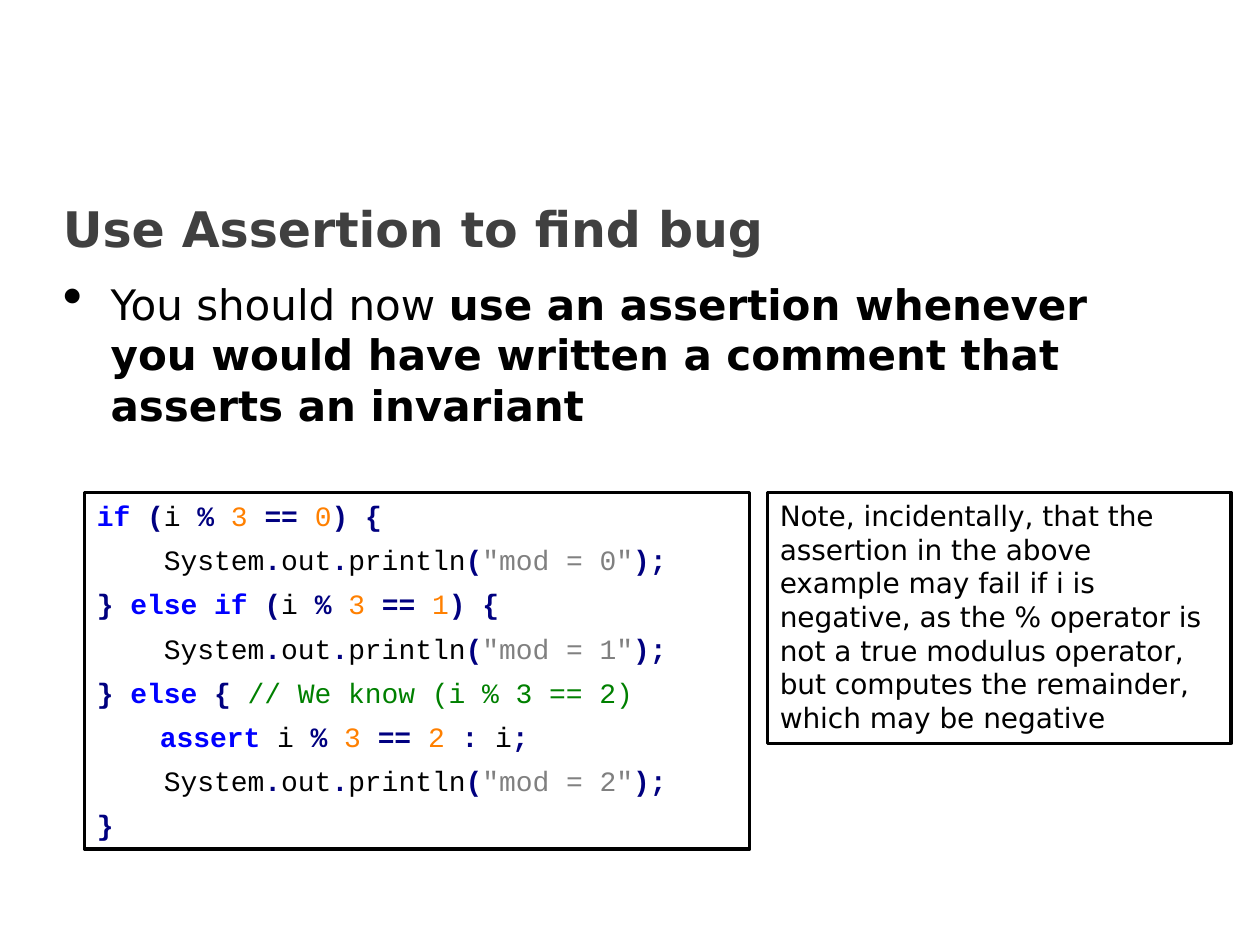
from itertools import groupby

from lxml import etree
from pptx import Presentation
from pptx.dml.color import RGBColor
from pptx.enum.shapes import MSO_SHAPE
from pptx.enum.text import MSO_ANCHOR, PP_ALIGN
from pptx.oxml.ns import qn
from pptx.util import Inches, Pt

BLACK = RGBColor(0x00, 0x00, 0x00)
WHITE = RGBColor(0xFF, 0xFF, 0xFF)
TITLE_GREY = RGBColor(0x40, 0x40, 0x40)
KEYWORD_BLUE = RGBColor(0x00, 0x00, 0xFF)
OPERATOR_NAVY = RGBColor(0x00, 0x00, 0x80)
NUMBER_ORANGE = RGBColor(0xFF, 0x80, 0x00)
STRING_GREY = RGBColor(0x80, 0x80, 0x80)
COMMENT_GREEN = RGBColor(0x00, 0x80, 0x00)

TEXT_FONT, CODE_FONT = "DejaVu Sans", "Courier New"
KEYWORDS = {"if", "else", "assert"}

TITLE = "Use Assertion to find bug"
ADVICE = [
    ("You should now ", BLACK, False),
    ("use an assertion whenever you would have written a comment "
     "that asserts an invariant", BLACK, True),
]
CODE = """\
if (i % 3 == 0) {
    System.out.println("mod = 0");
} else if (i % 3 == 1) {
    System.out.println("mod = 1");
} else { // We know (i % 3 == 2)
\tassert i % 3 == 2 : i;
    System.out.println("mod = 2");
}"""
NOTE = ("Note, incidentally, that the assertion in the above example may fail "
        "if i is negative, as the % operator is not a true modulus operator, "
        "but computes the remainder, which may be negative")

# left, top, width, height
TITLE_AREA = (0.4, 1.46, 9.11, 0.7)
ADVICE_AREA = (0.4, 2.16, 9.11, 1.4)
CODE_AREA = (0.67, 3.91, 5.28, 2.83)
NOTE_AREA = (6.09, 3.91, 3.68, 1.99)


def character_class(char):
    if char.isspace():
        return "space"
    if char.isdigit():
        return "number"
    return "word" if char.isalpha() else "operator"


def highlight(line):
    """Split a line of code into (text, colour, bold) pieces."""
    statement, slashes, remark = line.partition("//")
    pieces = []
    for index, part in enumerate(statement.split('"')):
        if index % 2:
            pieces.append((f'"{part}"', STRING_GREY, False))
            continue
        for kind, chars in groupby(part, character_class):
            token = "".join(chars)
            if token in KEYWORDS:
                pieces.append((token, KEYWORD_BLUE, True))
            elif kind == "operator":
                pieces.append((token, OPERATOR_NAVY, True))
            else:
                colour = NUMBER_ORANGE if kind == "number" else BLACK
                pieces.append((token, colour, False))
    if slashes:
        pieces.append((slashes + remark, COMMENT_GREEN, False))
    return pieces


def add_text(slide, area, paragraphs, *, size, font=TEXT_FONT, boxed=False,
             anchor=MSO_ANCHOR.TOP, space_before=0, line_spacing=1.0):
    """Add paragraphs, each a list of (text, colour, bold) pieces."""
    place = [Inches(value) for value in area]
    if boxed:
        shape = slide.shapes.add_shape(MSO_SHAPE.RECTANGLE, *place)
        shape.shadow.inherit = False
        shape.fill.solid()
        shape.fill.fore_color.rgb = WHITE
        shape.line.color.rgb = BLACK
        shape.line.width = Pt(2)
    else:
        shape = slide.shapes.add_textbox(*place)
    frame = shape.text_frame
    frame.word_wrap = True
    frame.vertical_anchor = anchor
    for index, pieces in enumerate(paragraphs):
        paragraph = frame.add_paragraph() if index else frame.paragraphs[0]
        paragraph.alignment = PP_ALIGN.LEFT
        paragraph.line_spacing = line_spacing
        paragraph.space_before = Pt(space_before)
        for text, colour, bold in pieces:
            run = paragraph.add_run()
            run.text = text
            run.font.name = font
            run.font.size = Pt(size)
            run.font.bold = bold
            run.font.color.rgb = colour
    return frame


def add_bullet(paragraph, indent, percent):
    properties = paragraph._p.get_or_add_pPr()
    properties.set("marL", str(Inches(indent)))
    properties.set("indent", str(-Inches(indent)))
    etree.SubElement(properties, qn("a:buSzPct"), val=str(percent * 1000))
    etree.SubElement(properties, qn("a:buChar"), char="•")


def main():
    presentation = Presentation()
    presentation.slide_width = Inches(10)
    presentation.slide_height = Inches(7.5)
    slide = presentation.slides.add_slide(presentation.slide_layouts[6])

    add_text(slide, TITLE_AREA, [[(TITLE, TITLE_GREY, True)]], size=28,
             anchor=MSO_ANCHOR.MIDDLE)
    advice = add_text(slide, ADVICE_AREA, [ADVICE], size=24, space_before=18)
    add_bullet(advice.paragraphs[0], indent=0.38, percent=135)
    add_text(slide, CODE_AREA, [highlight(line) for line in CODE.splitlines()],
             size=16, font=CODE_FONT, boxed=True, space_before=6)
    add_text(slide, NOTE_AREA, [[(NOTE, BLACK, False)]], size=16, boxed=True)

    presentation.save("out.pptx")


if __name__ == "__main__":
    main()
